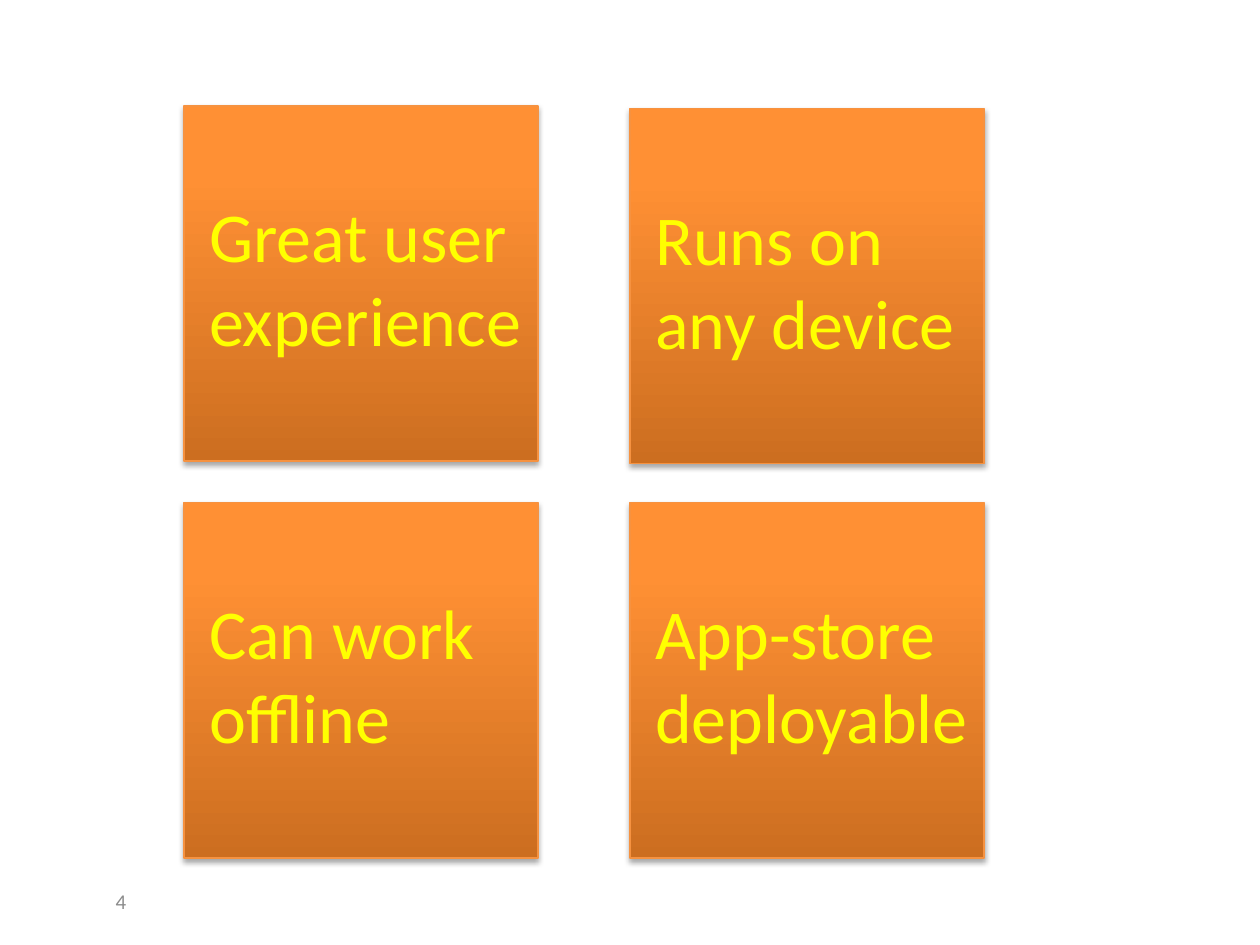
from copy import deepcopy
from pptx import Presentation
from pptx.dml.color import RGBColor
from pptx.enum.shapes import MSO_SHAPE
from pptx.enum.text import MSO_ANCHOR, PP_ALIGN
from pptx.oxml import parse_xml
from pptx.oxml.ns import nsdecls, qn
from pptx.util import Inches, Pt

HUES = {"low": "CC6E20", "mid": "FF9034", "high": "FF9136",
        "edge": "F69240", "text": "FFFF00", "page": "8C8C8C"}
CARDS = [
    ("Great user experience", 0, 0.84),
    ("Can work offline", 0, 3.99),
    ("Runs on any device", 1, 0.86),
    ("App-store deployable", 1, 3.99),
]
LEFT, STEP, WIDE, HIGH = 1.46, 3.54, 2.81, 2.82
STOPS = [(0, "low"), (0.8, "mid"), (1, "high")]
PAD = {"margin_left": Inches(0.2), "margin_top": Inches(0.05),
       "margin_right": Inches(0.1), "margin_bottom": Inches(0.16)}
SHADE = f"""<a:effectLst {nsdecls("a")}>
<a:outerShdw blurRad="{Pt(3.1)}" dist="{Pt(1.8)}" dir="5400000" rotWithShape="0">
<a:srgbClr val="000000"><a:alpha val="35000"/></a:srgbClr>
</a:outerShdw></a:effectLst>"""


def tint(name):
    return RGBColor.from_string(HUES[name])


def write(shape, text, size, hue, align, pad):
    frame = shape.text_frame
    form = {"word_wrap": True, "vertical_anchor": MSO_ANCHOR.MIDDLE, **pad}
    for key, val in form.items():
        setattr(frame, key, val)
    para = frame.paragraphs[0]
    para.alignment = align
    run = para.add_run()
    run.text = text
    for key, val in {"name": "Calibri", "size": Pt(size)}.items():
        setattr(run.font, key, val)
    run.font.color.rgb = tint(hue)


def paint(shape):
    shape.fill.gradient()
    shape.fill.gradient_angle = 90
    props = shape._element.spPr
    stops = props.find(".//" + qn("a:gsLst"))
    stops.append(deepcopy(stops[-1]))
    for stop, (place, hue) in zip(shape.fill.gradient_stops, STOPS):
        stop.position = place
        stop.color.rgb = tint(hue)
    shape.line.color.rgb = tint("edge")
    shape.line.width = Pt(0.75)
    props.append(parse_xml(SHADE))


def main():
    deck = Presentation()
    deck.slide_width, deck.slide_height = Inches(10), Inches(7.5)
    shapes = deck.slides.add_slide(deck.slide_layouts[6]).shapes
    page = shapes.add_textbox(*map(Inches, (0.67, 6.95, 0.43, 0.4)))
    write(page, "4", 12, "page", PP_ALIGN.RIGHT, {})
    for text, col, top in CARDS:
        spot = map(Inches, (LEFT + col * STEP, top, WIDE, HIGH))
        card = shapes.add_shape(MSO_SHAPE.RECTANGLE, *spot)
        paint(card)
        write(card, text, 40, "text", PP_ALIGN.LEFT, PAD)
    deck.save("out.pptx")


if __name__ == "__main__":
    main()
